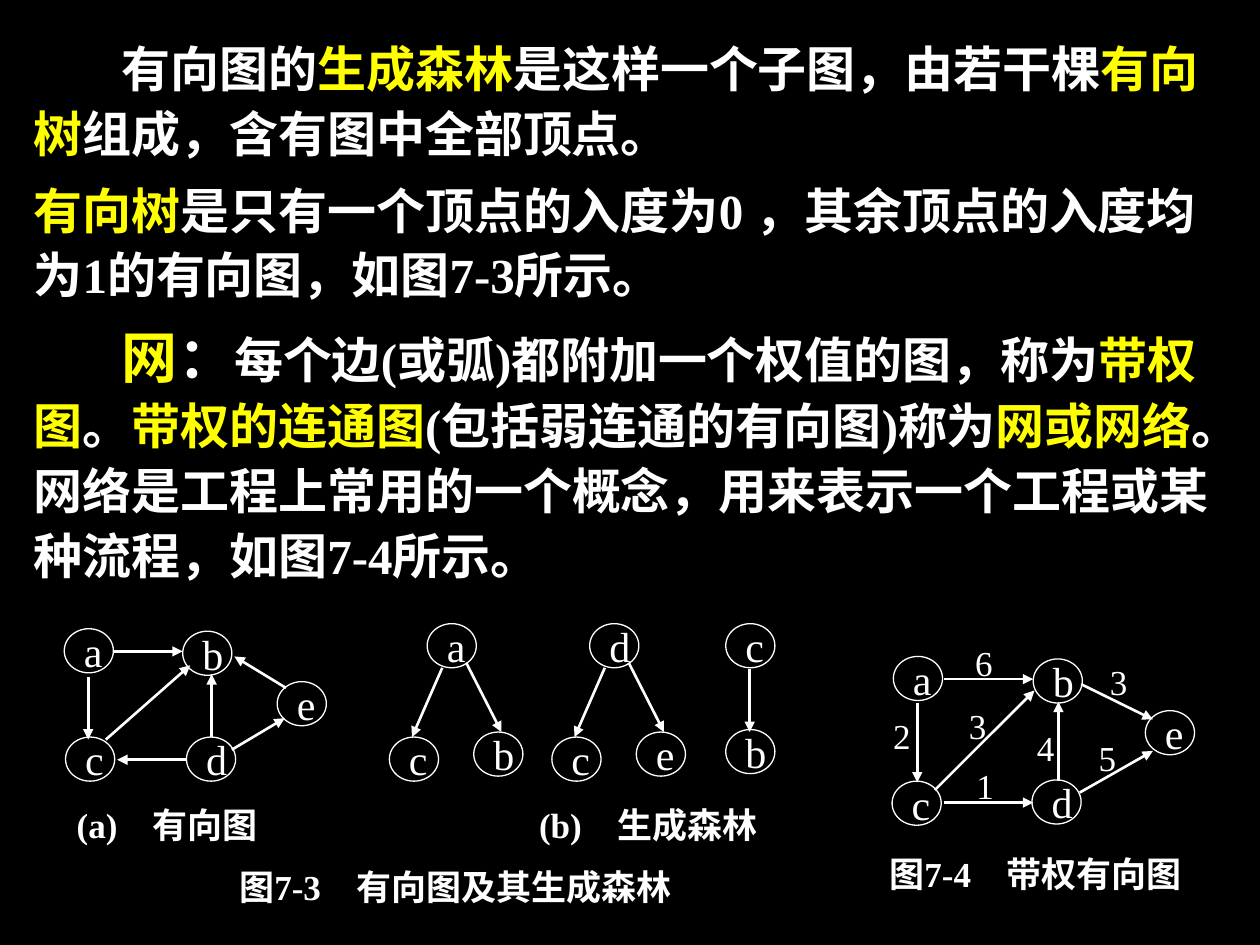
from pptx import Presentation
from pptx.dml.color import RGBColor
from pptx.enum import shapes, text
from pptx.oxml.ns import qn
from pptx.util import Pt
from lxml import etree

PX = 9144
FONT = "Times New Roman"
COLORS = {"back": "000000", "text": "FFFFFF", "key": "FFFF00"}
NODE_W, NODE_H = 39, 35

BODY = [
    (70, [("有向图的", "text", 28), ("生成森林", "key", 28),
          ("是这样一个子图，由若干棵", "text", 28), ("有向树", "key", 28),
          ("组成，含有图中全部顶点。", "text", 28)]),
    (0, [("有向树", "key", 28),
         ("是只有一个顶点的入度为0 ，其余顶点的入度均为1的有向图，如图7-3所示。", "text", 28)]),
    (70, [("网", "key", 32), ("：", "text", 32),
          ("每个边(或弧)都附加一个权值的图，称为", "text", 28), ("带权图", "key", 28),
          ("。", "text", 28), ("带权的连通图", "key", 28),
          ("(包括弱连通的有向图)称为", "text", 28), ("网或网络", "key", 28),
          ("。网络是工程上常用的一个概念，用来表示一个工程或某种流程，如图7-4所示。", "text", 28)]),
]


def px(*values):
    """Turn px lengths into EMU."""
    return [v * PX for v in values]


def rgb(name):
    """Look up a named colour."""
    return RGBColor.from_string(COLORS[name])


def style(r, size, color="text", bold=False):
    """Format one run."""
    r.font.name, r.font.size, r.font.bold = FONT, Pt(size), bold
    r.font.color.rgb = rgb(color)


def set_label(sp, label, size):
    """Put one unwrapped, vertically centred line in a shape."""
    tf = sp.text_frame
    tf.text = label
    tf.word_wrap = False
    tf.vertical_anchor = text.MSO_ANCHOR.MIDDLE
    p = tf.paragraphs[0]
    p.alignment = text.PP_ALIGN.LEFT
    style(p.runs[0], size)


def add_node(parent, x, y, label):
    """Draw a lettered vertex."""
    sp = parent.add_shape(shapes.MSO_SHAPE.OVAL, *px(x, y, NODE_W, NODE_H))
    sp.shadow.inherit = False
    sp.fill.background()
    sp.line.color.rgb = rgb("text")
    sp.line.width = Pt(0.75)
    set_label(sp, label, 24)


def add_arc(parent, *ends):
    """Draw an arrow that points at its second end."""
    sp = parent.add_connector(shapes.MSO_CONNECTOR.STRAIGHT, *px(*ends))
    sp.line.color.rgb = rgb("text")
    sp.line.width = Pt(1.5)
    etree.SubElement(sp.line._get_or_add_ln(), qn("a:tailEnd"), type="triangle")
    etree.SubElement(sp._element.spPr, qn("a:effectLst"))


def add_caption(parent, x, y, w, number, title, tab):
    """Write a one-line bold caption whose title starts at a tab stop."""
    tf = parent.add_textbox(*px(x, y, w, 35)).text_frame
    tf.word_wrap = True
    tf.margin_right = 0
    tf.vertical_anchor = text.MSO_ANCHOR.MIDDLE
    p = tf.paragraphs[0]
    p.text = f"{number}\t{title}"
    tabs = etree.SubElement(p._p.get_or_add_pPr(), qn("a:tabLst"))
    etree.SubElement(tabs, qn("a:tab"), pos=str(tab * PX), algn="l")
    for r in p.runs:
        style(r, 20, bold=True)


def add_graph(parent, left, top, nodes, arcs, weights=()):
    """Draw arcs, vertices and weights relative to a corner."""
    for label, x, y in nodes:
        add_node(parent, left + x, top + y, label)
    for x1, y1, x2, y2 in arcs:
        add_arc(parent, left + x1, top + y1, left + x2, top + y2)
    for label, x, y in weights:
        sp = parent.add_textbox(*px(left + x, top + y, 31, 31))
        set_label(sp, label, 20)


def add_body(s, x, y, w, h):
    """Write the definitions."""
    tf = s.shapes.add_textbox(*px(x, y, w, h)).text_frame
    tf.word_wrap = True
    for i, (indent, runs) in enumerate(BODY):
        p = tf.paragraphs[0] if i == 0 else tf.add_paragraph()
        p.line_spacing = 1.1
        p.space_before = Pt(7 if i else 0)
        pPr = p._p.get_or_add_pPr()
        pPr.set("marL", "0")
        pPr.set("indent", str(indent * PX))
        for words, color, size in runs:
            r = p.add_run()
            r.text = words
            style(r, size, color, True)


def add_digraph(parent, x, y):
    """Draw the directed graph."""
    add_graph(parent, x, y,
              [("a", 1, 4), ("b", 95, 6), ("c", 2, 90), ("d", 98, 90), ("e", 170, 46)],
              [(20, 42, 20, 92), (118, 90, 118, 40), (40, 22, 95, 22),
               (98, 108, 43, 108), (34, 92, 101, 33), (134, 100, 176, 75),
               (177, 51, 136, 26)])
    add_caption(parent, x + 1, y + 142, 161, "(a)", "有向图", 60)


def add_forest(parent, x, y):
    """Draw the spanning forest of three trees."""
    for dx, (root, left, right) in ((0, "acb"), (129, "dce")):
        add_graph(parent, x + dx, y,
                  [(root, 30, 0), (left, 0, 90), (right, 67, 86)],
                  [(42, 35, 18, 90), (61, 31, 89, 86)])
    add_graph(parent, x + 267, y, [("c", 0, 0), ("b", 0, 84)], [(19, 36, 19, 86)])
    add_caption(parent, x + 109, y + 142, 195, "(b)", "生成森林", 62)


def add_forest_figure(s, x, y):
    """Draw the graph beside its forest."""
    parent = s.shapes.add_group_shape().shapes
    add_digraph(parent, x, y)
    add_forest(parent, x + 259, y)
    add_caption(parent, x + 130, y + 191, 358, "图7-3", "有向图及其生成森林", 93)


def add_weighted_figure(s, x, y):
    """Draw the weighted directed graph."""
    parent = s.shapes.add_group_shape().shapes
    add_graph(parent, x, y,
              [("a", 13, 11), ("b", 124, 13), ("c", 12, 110), ("d", 123, 109), ("e", 213, 54)],
              [(32, 48, 32, 111), (144, 110, 144, 47), (53, 29, 124, 29),
               (53, 127, 124, 127), (46, 117, 125, 38), (161, 119, 219, 86),
               (162, 33, 219, 61)],
              [("3", 175, 15), ("5", 166, 76), ("4", 117, 68), ("1", 69, 98),
               ("2", 3, 58), ("6", 68, 0), ("3", 63, 50)])
    add_caption(parent, x, y + 166, 248, "图7-4", "带权有向图", 93)


def main():
    """Build and save the slide."""
    prs = Presentation()
    prs.slide_width, prs.slide_height = px(1000, 750)
    s = prs.slides.add_slide(prs.slide_layouts[6])
    s.background.fill.solid()
    s.background.fill.fore_color.rgb = rgb("back")
    add_body(s, 17, 21, 967, 449)
    add_forest_figure(s, 50, 495)
    add_weighted_figure(s, 696, 510)
    prs.save("out.pptx")


if __name__ == "__main__":
    main()
